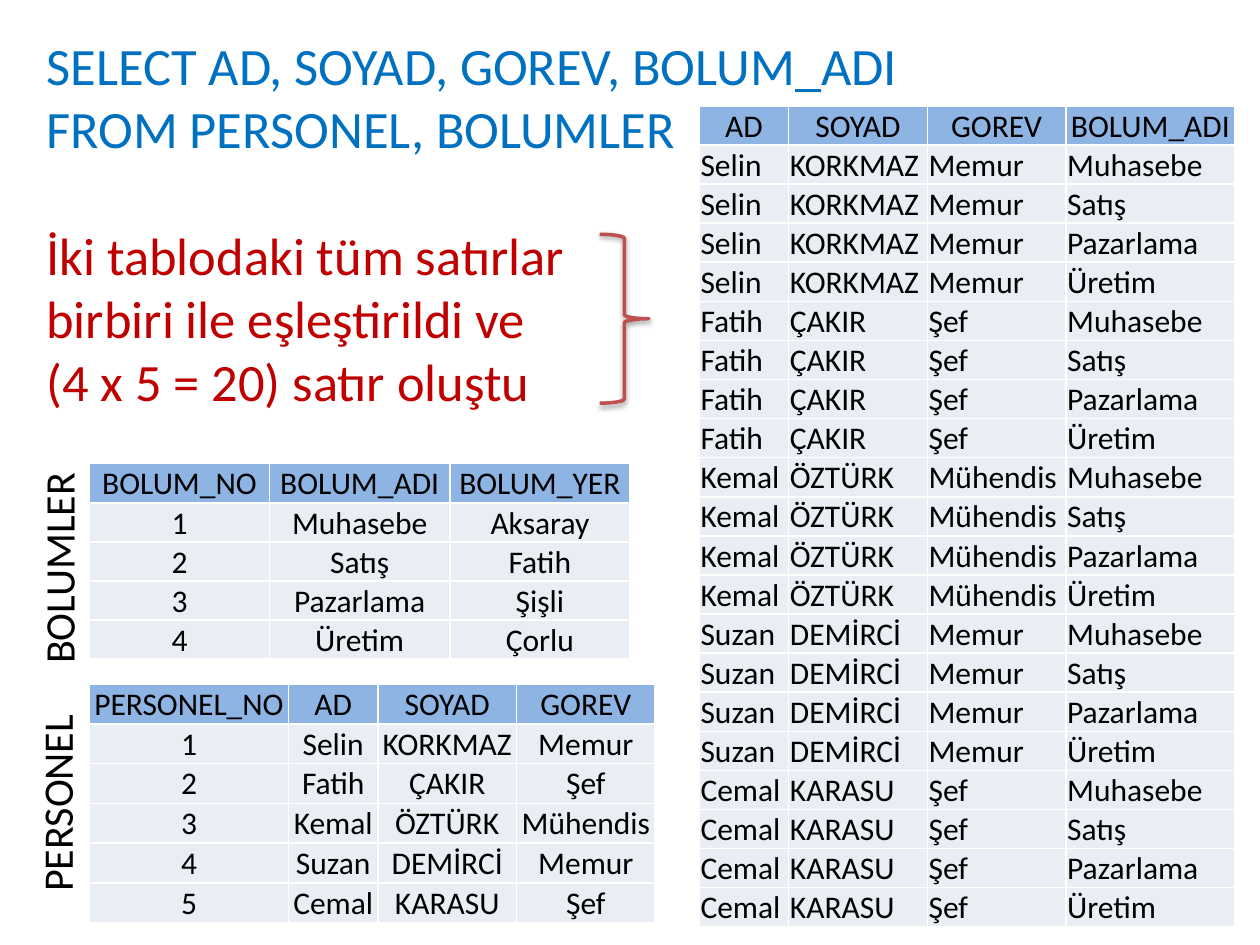
from itertools import product

from lxml import etree
from pptx import Presentation
from pptx.dml.color import RGBColor
from pptx.enum.shapes import MSO_SHAPE
from pptx.enum.text import MSO_ANCHOR, MSO_AUTO_SIZE, PP_ALIGN
from pptx.oxml.ns import qn
from pptx.util import Inches, Pt

LEFT, CENTER = PP_ALIGN.LEFT, PP_ALIGN.CENTER
MIDDLE, BOTTOM = MSO_ANCHOR.MIDDLE, MSO_ANCHOR.BOTTOM
FIT_SHAPE = MSO_AUTO_SIZE.SHAPE_TO_FIT_TEXT
RIGHT_BRACE = MSO_SHAPE.RIGHT_BRACE

COLUMNS, ROWS = 100, 75
TABLE_ROW = 3.1

DEPARTMENT_HEADER = ["BOLUM_NO", "BOLUM_ADI", "BOLUM_YER"]
DEPARTMENTS = [
    ["1", "Muhasebe", "Aksaray"],
    ["2", "Satış", "Fatih"],
    ["3", "Pazarlama", "Şişli"],
    ["4", "Üretim", "Çorlu"],
]
STAFF_HEADER = ["PERSONEL_NO", "AD", "SOYAD", "GOREV"]
STAFF = [
    ["1", "Selin", "KORKMAZ", "Memur"],
    ["2", "Fatih", "ÇAKIR", "Şef"],
    ["3", "Kemal", "ÖZTÜRK", "Mühendis"],
    ["4", "Suzan", "DEMİRCİ", "Memur"],
    ["5", "Cemal", "KARASU", "Şef"],
]


def color(value):
    """Turn a hex string into a colour."""
    return RGBColor.from_string(value)


class QuerySlide:
    """Hold the style and the current slide, and draw elements on its grid."""

    font = "Calibri"
    ink, query, remark = "000000", "0070C0", "C00000"
    header_fill, body_fill, border = "8EB4E3", "E9EDF4", "FFFFFF"
    brace_line = "C0504D"

    def __init__(self, deck):
        """Add a blank slide and measure its grid."""
        self.slide = deck.slides.add_slide(deck.slide_layouts[6])
        self.column = deck.slide_width / COLUMNS
        self.row = deck.slide_height / ROWS

    def place(self, left, top, width, height):
        """Convert grid columns and rows into slide lengths."""
        return (int(left * self.column), int(top * self.row),
                int(width * self.column), int(height * self.row))

    def fill_paragraph(self, para, words, size, hue, align):
        """Fill one paragraph with styled words."""
        para.text = words
        para.alignment = align
        para.font.name = self.font
        para.font.size = Pt(size)
        para.font.color.rgb = color(hue)

    def text(self, area, lines, size, align=LEFT, rotation=0):
        """Add a text box from (words, colour, space before) lines."""
        box = self.slide.shapes.add_textbox(*self.place(*area))
        box.rotation = rotation
        frame = box.text_frame
        frame.word_wrap = True
        frame.auto_size = FIT_SHAPE
        for index, (words, hue, gap) in enumerate(lines):
            para = frame.add_paragraph() if index else frame.paragraphs[0]
            self.fill_paragraph(para, words, size, hue, align)
            if gap:
                para.space_before = Pt(gap)

    def label(self, area, words, align):
        """Add a table name that reads upwards."""
        self.text(area, [(words, self.ink, 0)], 24, align, 270)

    def outline(self, cell):
        """Draw the four thin borders of a cell."""
        properties = cell._tc.get_or_add_tcPr()
        for side in ("a:lnL", "a:lnR", "a:lnT", "a:lnB"):
            line = etree.SubElement(properties, qn(side), w=str(Pt(1)))
            fill = etree.SubElement(line, qn("a:solidFill"))
            etree.SubElement(fill, qn("a:srgbClr"), val=self.border)

    def table(self, left, top, widths, header, records, anchor, align=CENTER):
        """Add a table with a centred header above its records."""
        rows = [header, *records]
        area = self.place(left, top, sum(widths), TABLE_ROW * len(rows))
        table = self.slide.shapes.add_table(len(rows), len(widths), *area).table
        table.horz_banding = False
        for column, width in zip(table.columns, widths):
            column.width = int(width * self.column)
        for number, values in enumerate(rows):
            for index, words in enumerate(values):
                cell = table.cell(number, index)
                cell.margin_left = cell.margin_right = cell.margin_top = Inches(0.01)
                cell.margin_bottom = 0
                cell.vertical_anchor = anchor
                self.outline(cell)
                cell.fill.solid()
                cell.fill.fore_color.rgb = color(
                    self.body_fill if number else self.header_fill)
                self.fill_paragraph(cell.text_frame.paragraphs[0], words, 18,
                                    self.ink, align if number else CENTER)

    def brace(self, area):
        """Add a right brace with a soft shadow below it."""
        shape = self.slide.shapes.add_shape(RIGHT_BRACE, *self.place(*area))
        shape.fill.background()
        shape.line.color.rgb = color(self.brace_line)
        shape.line.width = Pt(2)
        shape.shadow.inherit = False
        effects = shape._element.spPr.find(qn("a:effectLst"))
        shadow = etree.SubElement(
            effects, qn("a:outerShdw"), blurRad="40000", dist="20000",
            dir="5400000", rotWithShape="0")
        tint = etree.SubElement(shadow, qn("a:srgbClr"), val="000000")
        etree.SubElement(tint, qn("a:alpha"), val="38000")


def main():
    """Build the slide and save it."""
    deck = Presentation()
    deck.slide_width, deck.slide_height = Inches(10), Inches(7.5)
    page = QuerySlide(deck)

    page.table(7.1, 54.3, [15.8, 7.1, 11, 11], STAFF_HEADER, STAFF, BOTTOM)
    page.label((-4.3, 42.6, 17.8, 5), "BOLUMLER", CENTER)
    page.label((-3.8, 61, 16.5, 5), "PERSONEL", LEFT)
    page.table(7.1, 36.8, [14.3] * 3, DEPARTMENT_HEADER, DEPARTMENTS, MIDDLE)

    pairs = [[*person[1:], department[1]]
             for person, department in product(STAFF, DEPARTMENTS)]
    page.table(55.5, 8.4, [7.1, 11, 11, 13.4],
               [*STAFF_HEADER[1:], DEPARTMENT_HEADER[1]], pairs, BOTTOM, LEFT)

    page.text((2.7, 2.1, 72.4, 31.3), [
        ("SELECT AD, SOYAD, GOREV, BOLUM_ADI", page.query, 0),
        ("FROM PERSONEL, BOLUMLER", page.query, 0),
        ("İki tablodaki tüm satırlar", page.remark, 36.6),
        ("birbiri ile eşleştirildi ve", page.remark, 0),
        ("(4 x 5 = 20) satır oluştu", page.remark, 0),
    ], 30)
    page.brace((47.6, 18.6, 3.9, 13.4))
    deck.save("out.pptx")


if __name__ == "__main__":
    main()
